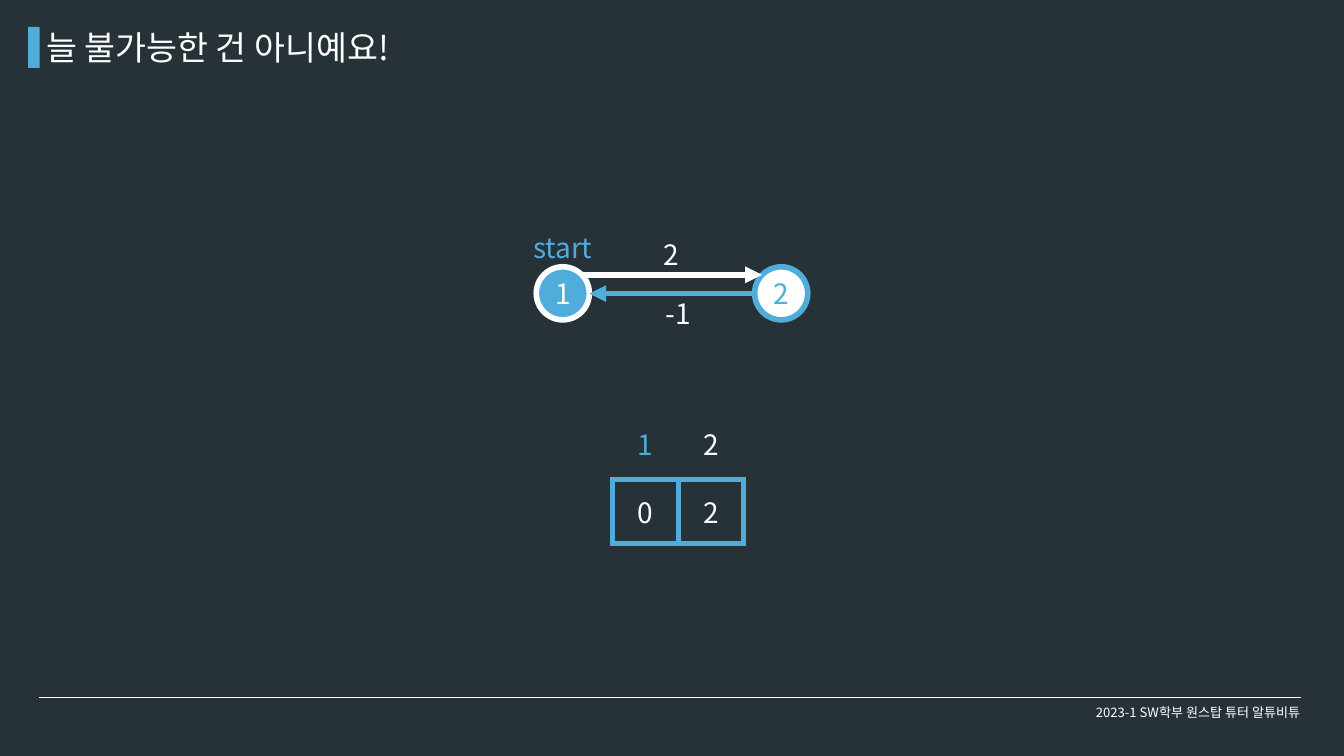
from dataclasses import dataclass
from typing import NamedTuple

from lxml.etree import SubElement
from pptx import Presentation
from pptx.dml.color import RGBColor
from pptx.enum.shapes import MSO_CONNECTOR, MSO_SHAPE
from pptx.enum.text import MSO_ANCHOR, PP_ALIGN
from pptx.oxml.ns import qn
from pptx.util import Emu, Pt

EMU_PER_PX = 9144


@dataclass(frozen=True)
class Theme:
    background: str = "263238"
    accent: str = "4FACDB"
    white: str = "FFFFFF"
    font: str = "Noto Sans CJK KR"
    title_size: int = 36
    body_size: int = 30
    footer_size: int = 14
    thick: float = 6
    thin: float = 0.75


THEME = Theme()


class Box(NamedTuple):
    left: int
    top: int
    width: int
    height: int


class Node(NamedTuple):
    text: str
    left: int
    fill: str
    ink: str


class Arrow(NamedTuple):
    start: int
    end: int
    y: int
    color: str


class Label(NamedTuple):
    text: str
    box: Box
    color: str
    size: int = THEME.body_size
    align: PP_ALIGN = PP_ALIGN.CENTER
    anchor: MSO_ANCHOR = MSO_ANCHOR.TOP
    wrap: bool = True


class Row(NamedTuple):
    top: int
    texts: tuple[str, ...]
    colors: tuple[str, ...]
    border: str | None


NODE_TOP, NODE_SIZE = 397, 79
ROW_LEFT, CELL_WIDTH, ROW_HEIGHT = 911, 98, 96

TITLE = Label("늘 불가능한 건 아니예요!", Box(59, 35, 950, 71), THEME.white,
              THEME.title_size, PP_ALIGN.LEFT)
NODES = (
    Node("1", 798, THEME.accent, THEME.white),
    Node("2", 1123, THEME.white, THEME.accent),
)
ARROWS = (
    Arrow(866, 1134, 409, THEME.white),
    Arrow(1123, 877, 437, THEME.accent),
)
LABELS = (
    Label("2", Box(977, 349, 46, 61), THEME.white, align=PP_ALIGN.LEFT, wrap=False),
    Label("-1", Box(981, 436, 64, 61), THEME.white, align=PP_ALIGN.LEFT, wrap=False),
    Label("start", Box(743, 338, 189, 61), THEME.accent),
    Label("2023-1 SW학부 원스탑 튜터 알튜비튜", Box(1583, 1031, 400, 57),
          THEME.white, THEME.footer_size, anchor=MSO_ANCHOR.MIDDLE),
)
ROWS = (
    Row(713, ("0", "2"), (THEME.white, THEME.white), THEME.accent),
    Row(612, ("1", "2"), (THEME.accent, THEME.white), None),
)


def px(length: int) -> Emu:
    return Emu(length * EMU_PER_PX)


def rgb(color: str) -> RGBColor:
    return RGBColor.from_string(color)


def write(frame, text: str, color: str, size: int, align=PP_ALIGN.CENTER) -> None:
    paragraph = frame.paragraphs[0]
    paragraph.alignment = align
    run = paragraph.add_run()
    run.text = text
    run.font.size = Pt(size)
    run.font.color.rgb = rgb(color)
    run.font.name = THEME.font
    SubElement(run.font._element, qn("a:ea"), typeface=THEME.font)


def fill_label(shape, label: Label) -> None:
    frame = shape.text_frame
    frame.word_wrap = label.wrap
    frame.vertical_anchor = label.anchor
    write(frame, label.text, label.color, label.size, label.align)


def add_label(slide, label: Label) -> None:
    fill_label(slide.shapes.add_textbox(*map(px, label.box)), label)


def add_title(slide, label: Label) -> None:
    title = slide.shapes.title
    title.left, title.top, title.width, title.height = map(px, label.box)
    fill_label(title, label)


def add_filled(slide, kind: MSO_SHAPE, box: Box, fill: str):
    shape = slide.shapes.add_shape(kind, *map(px, box))
    shape.shadow.inherit = False
    shape.fill.solid()
    shape.fill.fore_color.rgb = rgb(fill)
    shape.line.fill.background()
    return shape


def add_node(slide, node: Node) -> None:
    box = Box(node.left, NODE_TOP, NODE_SIZE, NODE_SIZE)
    shape = add_filled(slide, MSO_SHAPE.OVAL, box, node.fill)
    shape.line.color.rgb = rgb(node.ink)
    shape.line.width = Pt(THEME.thick)
    shape.text_frame.vertical_anchor = MSO_ANCHOR.MIDDLE
    write(shape.text_frame, node.text, node.ink, THEME.body_size)


def add_line(slide, line: Arrow, width: float):
    connector = slide.shapes.add_connector(
        MSO_CONNECTOR.STRAIGHT, px(line.start), px(line.y), px(line.end), px(line.y))
    connector.line.color.rgb = rgb(line.color)
    connector.line.width = Pt(width)
    SubElement(connector._element.spPr, qn("a:effectLst"))
    return connector


def add_arrow(slide, arrow: Arrow) -> None:
    connector = add_line(slide, arrow, THEME.thick)
    SubElement(connector.line._get_or_add_ln(), qn("a:tailEnd"), type="triangle")


def set_borders(cell, color: str | None) -> None:
    properties = cell._tc.get_or_add_tcPr()
    for side in ("lnL", "lnR", "lnT", "lnB"):
        line = SubElement(properties, qn(f"a:{side}"), w=str(Pt(THEME.thick)))
        if color is None:
            SubElement(line, qn("a:noFill"))
        else:
            SubElement(SubElement(line, qn("a:solidFill")), qn("a:srgbClr"), val=color)


def add_row(slide, row: Row) -> None:
    count = len(row.texts)
    box = Box(ROW_LEFT, row.top, CELL_WIDTH * count, ROW_HEIGHT)
    table = slide.shapes.add_table(1, count, *map(px, box)).table
    table.first_row = table.horz_banding = False
    for cell, text, color in zip(table.iter_cells(), row.texts, row.colors):
        set_borders(cell, row.border)
        cell.fill.background()
        cell.vertical_anchor = MSO_ANCHOR.MIDDLE
        write(cell.text_frame, text, color, THEME.body_size)


def main() -> None:
    presentation = Presentation()
    presentation.slide_width, presentation.slide_height = px(2000), px(1125)
    slide = presentation.slides.add_slide(presentation.slide_layouts[5])
    slide.background.fill.solid()
    slide.background.fill.fore_color.rgb = rgb(THEME.background)

    add_line(slide, Arrow(58, 1936, 1038, THEME.white), THEME.thin)
    add_filled(slide, MSO_SHAPE.RECTANGLE, Box(42, 40, 17, 61), THEME.accent)
    add_title(slide, TITLE)
    for row in ROWS:
        add_row(slide, row)
    for node in NODES:
        add_node(slide, node)
    for arrow in ARROWS:
        add_arrow(slide, arrow)
    for label in LABELS:
        add_label(slide, label)
    presentation.save("out.pptx")


if __name__ == "__main__":
    main()
